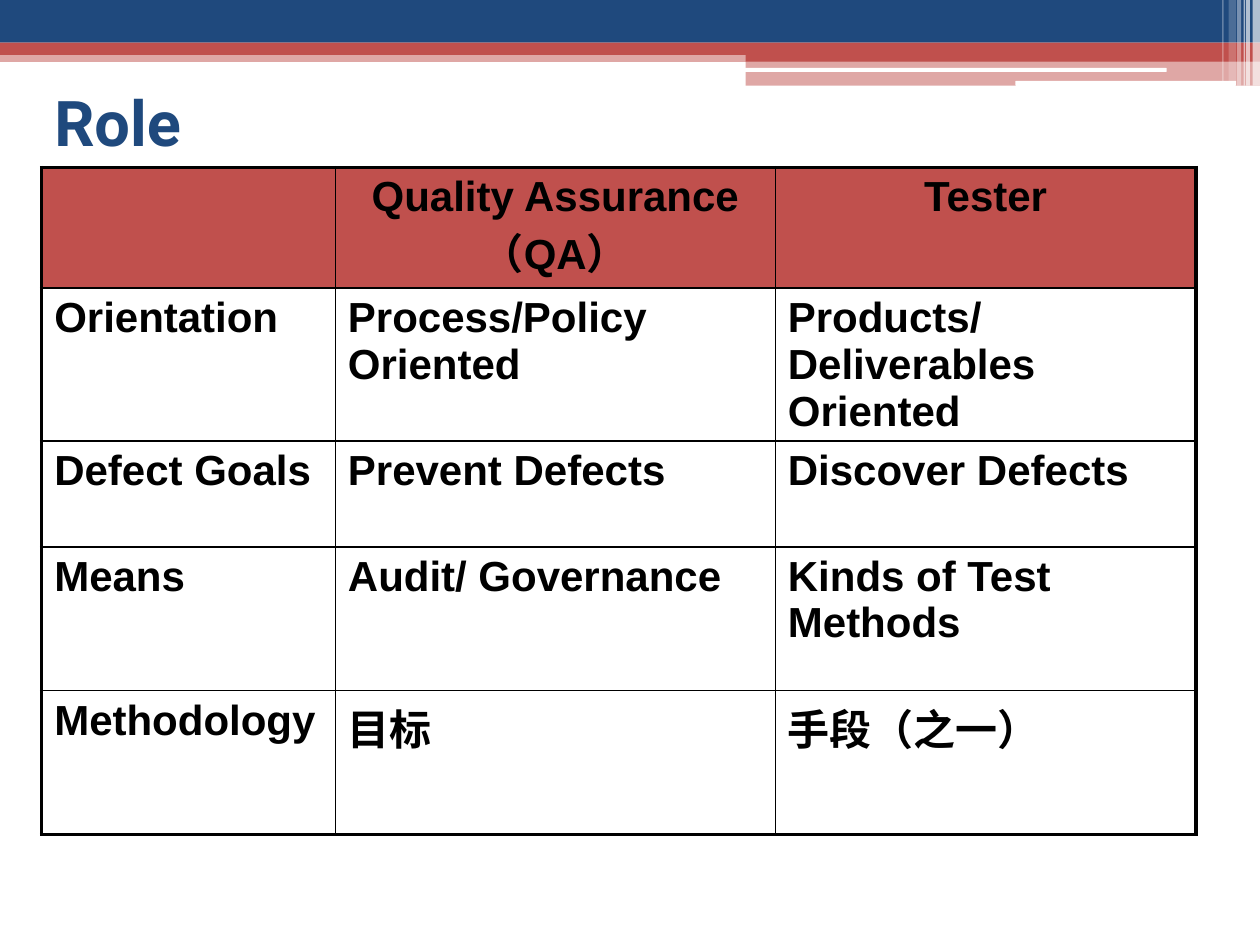
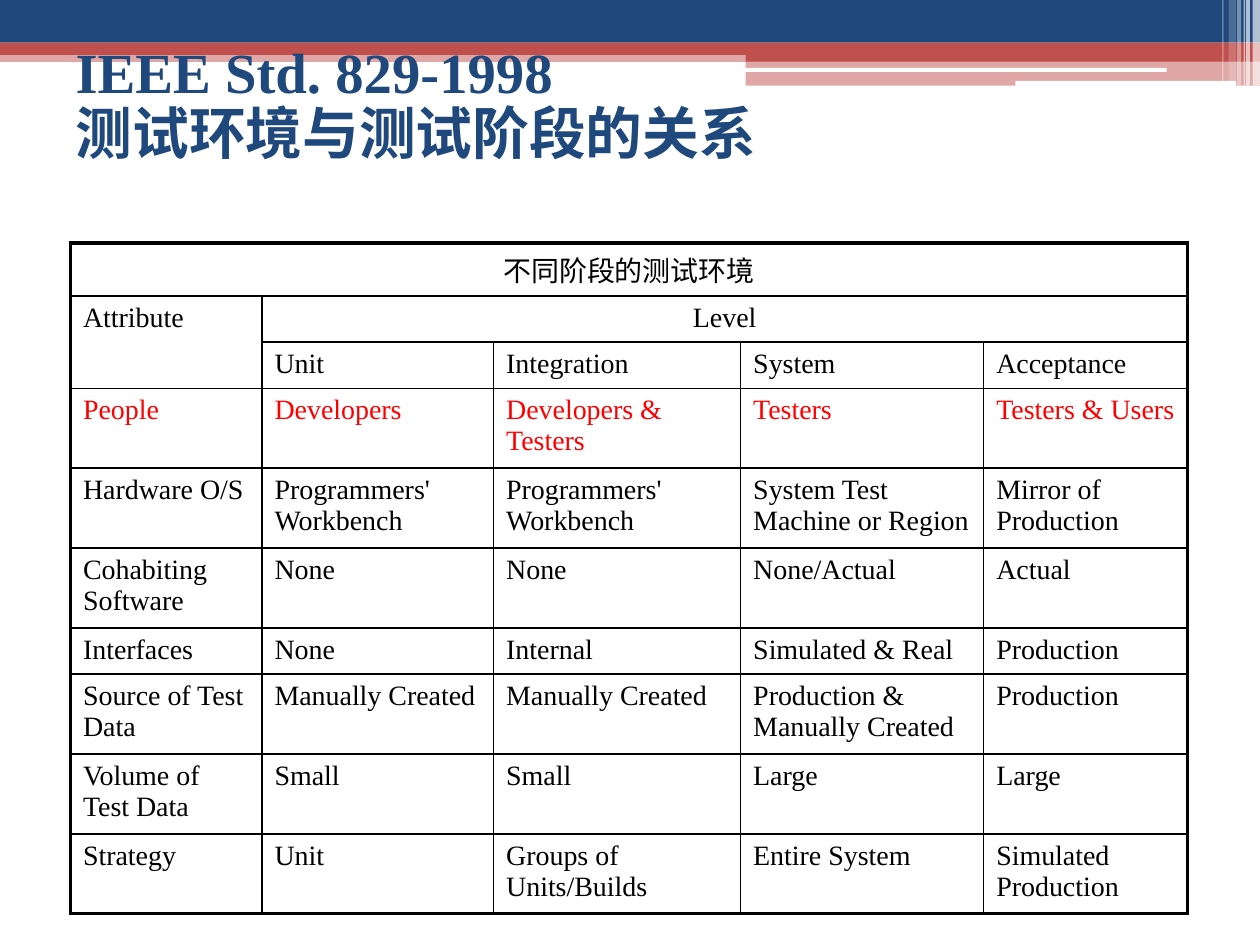
import itertools

import pptx
import pptx.dml.color
import pptx.enum.shapes
import pptx.enum.text
import pptx.oxml
import pptx.oxml.ns
import pptx.util
from lxml import etree

Cm = pptx.util.Cm
Pt = pptx.util.Pt
RGBColor = pptx.dml.color.RGBColor
Align = pptx.enum.text.PP_ALIGN
qn = pptx.oxml.ns.qn

NAVY = RGBColor(0x1F, 0x49, 0x7D)
BRICK = RGBColor(0xC0, 0x50, 0x4D)
WHITE = RGBColor(0xFF, 0xFF, 0xFF)
BLACK = RGBColor(0x00, 0x00, 0x00)
RED = RGBColor(0xFF, 0x00, 0x00)

CHINESE_FONT = "Noto Sans CJK SC"
SERIF_FONT = "Times New Roman"
OUTER_LINE = Pt(2.25)
INNER_LINE = Pt(1)

RECT = pptx.enum.shapes.MSO_SHAPE.RECTANGLE
ROUNDED = pptx.enum.shapes.MSO_SHAPE.ROUNDED_RECTANGLE

# Kind, left, top, width, height in cm, colour, opacity in percent
HEADER_BANDS = [
    (RECT, 0, 1.02, 25.4, 0.23, BRICK, 50),
    (RECT, 0, 0, 25.4, 0.86, NAVY, 100),
    (RECT, 0, 0.86, 25.4, 0.25, BRICK, 100),
    (RECT, 15.03, 0.99, 10.37, 0.25, BRICK, 100),
    (RECT, 15.03, 1.23, 10.37, 0.5, BRICK, 50),
    (ROUNDED, 15.01, 1.37, 8.51, 0.08, WHITE, 100),
    (ROUNDED, 20.47, 1.63, 4.45, 0.1, WHITE, 100),
    (RECT, 25.25, 0, 0.15, 1.73, WHITE, 65),
    (RECT, 25.12, 0, 0.08, 1.73, WHITE, 65),
    (RECT, 25.07, 0, 0.03, 1.73, WHITE, 60),
    (RECT, 24.94, 0, 0.08, 1.73, WHITE, 40),
    (RECT, 24.77, 0, 0.15, 1.63, WHITE, 20),
    (RECT, 24.64, 0, 0.03, 1.63, WHITE, 30),
]

ROLES = [
    ["", "Quality Assurance （QA）", "Tester"],
    ["Orientation", "Process/Policy Oriented", "Products/Deliverables Oriented"],
    ["Defect Goals", "Prevent Defects", "Discover Defects"],
    ["Means", "Audit/ Governance", "Kinds of Test Methods"],
    ["Methodology", "目标", "手段（之一）"],
]

ENVIRONMENTS = [
    ["不同阶段的测试环境", "", "", "", ""],
    ["Attribute", "Level", "", "", ""],
    ["", "Unit", "Integration", "System", "Acceptance"],
    ["People", "Developers", "Developers & Testers", "Testers", "Testers & Users"],
    ["Hardware O/S", "Programmers' Workbench", "Programmers' Workbench",
     "System Test Machine or Region", "Mirror of Production"],
    ["Cohabiting Software", "None", "None", "None/Actual", "Actual"],
    ["Interfaces", "None", "Internal", "Simulated & Real", "Production"],
    ["Source of Test Data", "Manually Created", "Manually Created",
     "Production & Manually Created", "Production"],
    ["Volume of Test Data", "Small", "Small", "Large", "Large"],
    ["Strategy", "Unit", "Groups of Units/Builds", "Entire System",
     "Simulated Production"],
]


def style_run(run, font_name, size, color, bold=False):
    run.font.name = font_name
    run.font.size = Pt(size)
    run.font.bold = bold
    run.font.color.rgb = color
    east_asian = etree.SubElement(run.font._element, qn("a:ea"))
    east_asian.set("typeface", CHINESE_FONT)


def add_band(slide, kind, left, top, width, height, color, opacity):
    band = slide.shapes.add_shape(kind, Cm(left), Cm(top), Cm(width), Cm(height))
    band.shadow.inherit = False
    band.line.fill.background()
    band.fill.solid()
    band.fill.fore_color.rgb = color
    if opacity < 100:
        color_xml = band.element.spPr.find(".//" + qn("a:srgbClr"))
        etree.SubElement(color_xml, qn("a:alpha")).set("val", str(opacity * 1000))
    return band


def put_bands_on_layout(slide):
    """Draw the header once and move it to the layout that the slides share."""
    layout_tree = slide.slide_layout.shapes.element
    for number, band_values in enumerate(HEADER_BANDS):
        band = add_band(slide, *band_values)
        band.element.nvSpPr.cNvPr.set("id", str(100 + number))
        layout_tree.append(band.element)


def set_title(slide, text, box, fonts, size, line_spacing=1.0):
    """Fill the title; fonts holds one font name for each line."""
    title = slide.shapes.title
    title.left, title.top, title.width, title.height = map(Cm, box)
    frame = title.text_frame
    frame.text = text
    frame.auto_size = pptx.enum.text.MSO_AUTO_SIZE.NONE
    frame.vertical_anchor = pptx.enum.text.MSO_ANCHOR.MIDDLE
    paragraph = frame.paragraphs[0]
    paragraph.alignment = Align.LEFT
    paragraph.line_spacing = line_spacing
    for run, font_name in zip(paragraph.runs, fonts):
        style_run(run, font_name, size, NAVY, bold=True)


def set_cell_borders(cell, widths):
    """Draw the left, right, top and bottom borders, in that order."""
    properties = cell._tc.get_or_add_tcPr()
    for side, width in zip("LRTB", widths):
        border = etree.SubElement(properties, qn("a:ln" + side), w=str(width))
        fill = etree.SubElement(border, qn("a:solidFill"))
        etree.SubElement(fill, qn("a:srgbClr"), val=str(BLACK))


def frame_cells(table):
    """Give the table a heavy outline and thin inner lines."""
    last_row, last_column = len(table.rows) - 1, len(table.columns) - 1
    for row, column in itertools.product(range(last_row + 1), range(last_column + 1)):
        cell = table.cell(row, column)
        right, bottom = column, row
        if cell.is_merge_origin:
            right += cell.span_width - 1
            bottom += cell.span_height - 1
        on_edge = (column == 0, right == last_column, row == 0, bottom == last_row)
        set_cell_borders(cell, [OUTER_LINE if edge else INNER_LINE for edge in on_edge])


def add_grid(slide, left, top, texts, widths, heights, merges=()):
    """Add an unfilled, framed table; merges holds pairs of corner cells."""
    table = slide.shapes.add_table(
        len(texts), len(widths), Cm(left), Cm(top), Cm(sum(widths)), Cm(sum(heights))
    ).table
    table.first_row = table.horz_banding = False
    for column, width in zip(table.columns, widths):
        column.width = Cm(width)
    for row, height, row_texts in zip(table.rows, heights, texts):
        row.height = Cm(height)
        for cell, text in zip(row.cells, row_texts):
            cell.text_frame.text = text
    for first, last in merges:
        table.cell(*first).merge(table.cell(*last))
    frame_cells(table)
    for cell in table.iter_cells():
        cell.fill.background()
    return table


def style_cell(cell, font_name, size, color=BLACK, bold=False, alignment=Align.LEFT):
    paragraph = cell.text_frame.paragraphs[0]
    paragraph.alignment = alignment
    for run in paragraph.runs:
        style_run(run, font_name, size, color, bold)


def build_role_slide(slide):
    set_title(slide, "Role", (0.84, 1.27, 22.86, 2.34), ["Roboto"], 36)
    table = add_grid(slide, 0.84, 3.38, ROLES,
                     widths=[5.92, 8.87, 8.48], heights=[2.29, 2.9, 2.13, 2.9, 2.9])
    for row_number, row in enumerate(table.rows):
        is_header = row_number == 0
        for cell in row.cells:
            style_cell(cell, "Arial", 24, bold=True,
                       alignment=Align.CENTER if is_header else Align.LEFT)
            if is_header:
                cell.fill.solid()
                cell.fill.fore_color.rgb = BRICK


def build_environment_slide(slide):
    set_title(slide, "IEEE Std. 829-1998\v测试环境与测试阶段的关系",
              (1.27, 1.07, 22.86, 2.11), [SERIF_FONT, CHINESE_FONT], 32.4,
              line_spacing=0.9)
    one_line, two_lines = 0.93, 1.61
    heights = [one_line] * 3 + [two_lines] * 3 + [one_line] + [two_lines] * 3
    caption, attribute, level = (0, 0), (1, 0), (1, 1)
    table = add_grid(slide, 1.42, 4.9, ENVIRONMENTS,
                     widths=[3.86, 4.67, 4.98, 4.9, 4.11], heights=heights,
                     merges=[(caption, (0, 4)), (attribute, (2, 0)), (level, (1, 4))])
    for row_number, row in enumerate(table.rows):
        is_people = ENVIRONMENTS[row_number][0] == "People"
        for column, cell in enumerate(row.cells):
            position = (row_number, column)
            style_cell(cell, CHINESE_FONT if position == caption else SERIF_FONT, 16,
                       color=RED if is_people else BLACK,
                       alignment=Align.CENTER if position in (caption, level) else Align.LEFT)


def main():
    deck = pptx.Presentation()
    deck.slide_width, deck.slide_height = Cm(25.4), Cm(19.05)
    title_only = deck.slide_layouts[5]
    role_slide = deck.slides.add_slide(title_only)
    environment_slide = deck.slides.add_slide(title_only)
    put_bands_on_layout(role_slide)
    build_role_slide(role_slide)
    build_environment_slide(environment_slide)
    deck.save("out.pptx")


if __name__ == "__main__":
    main()
